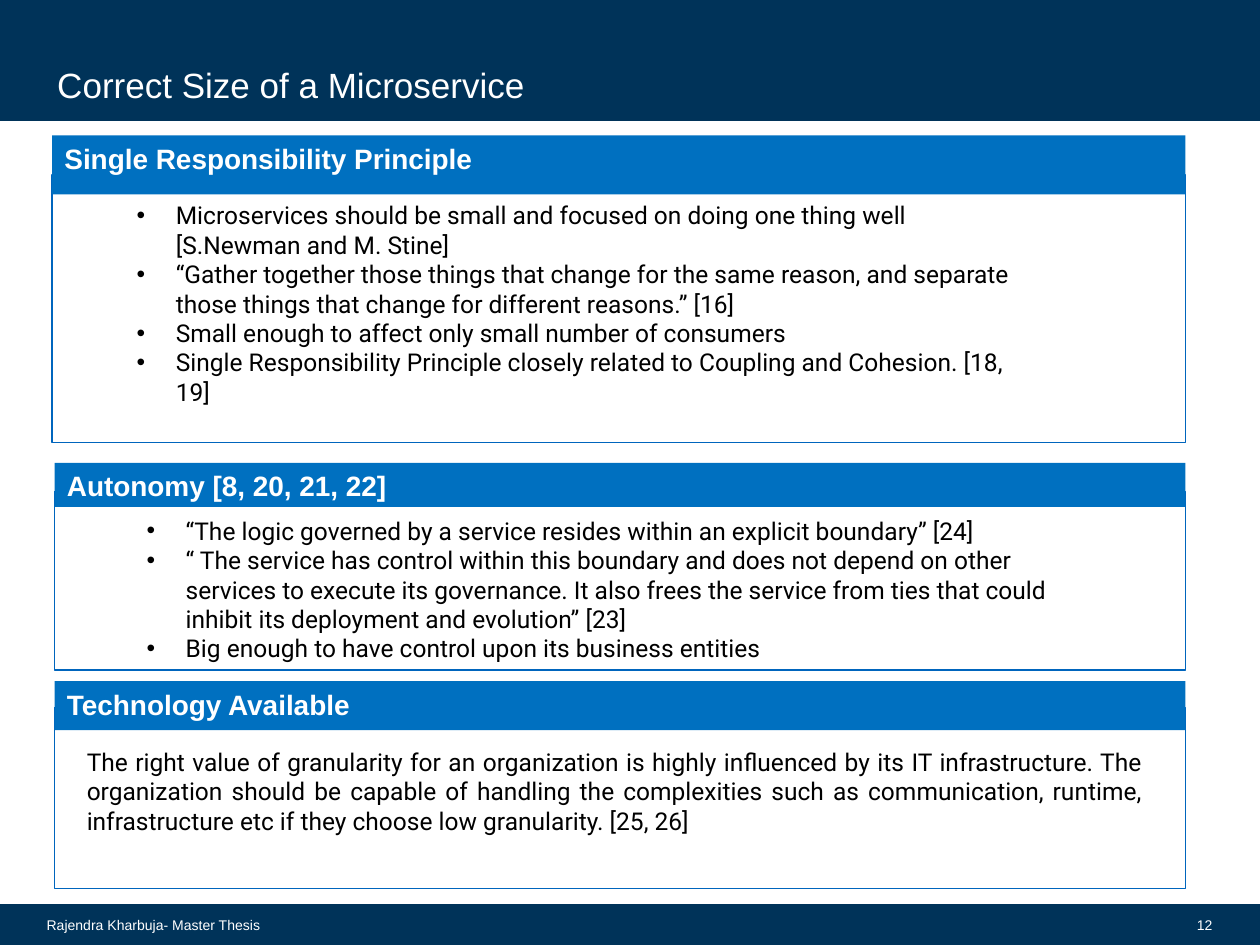
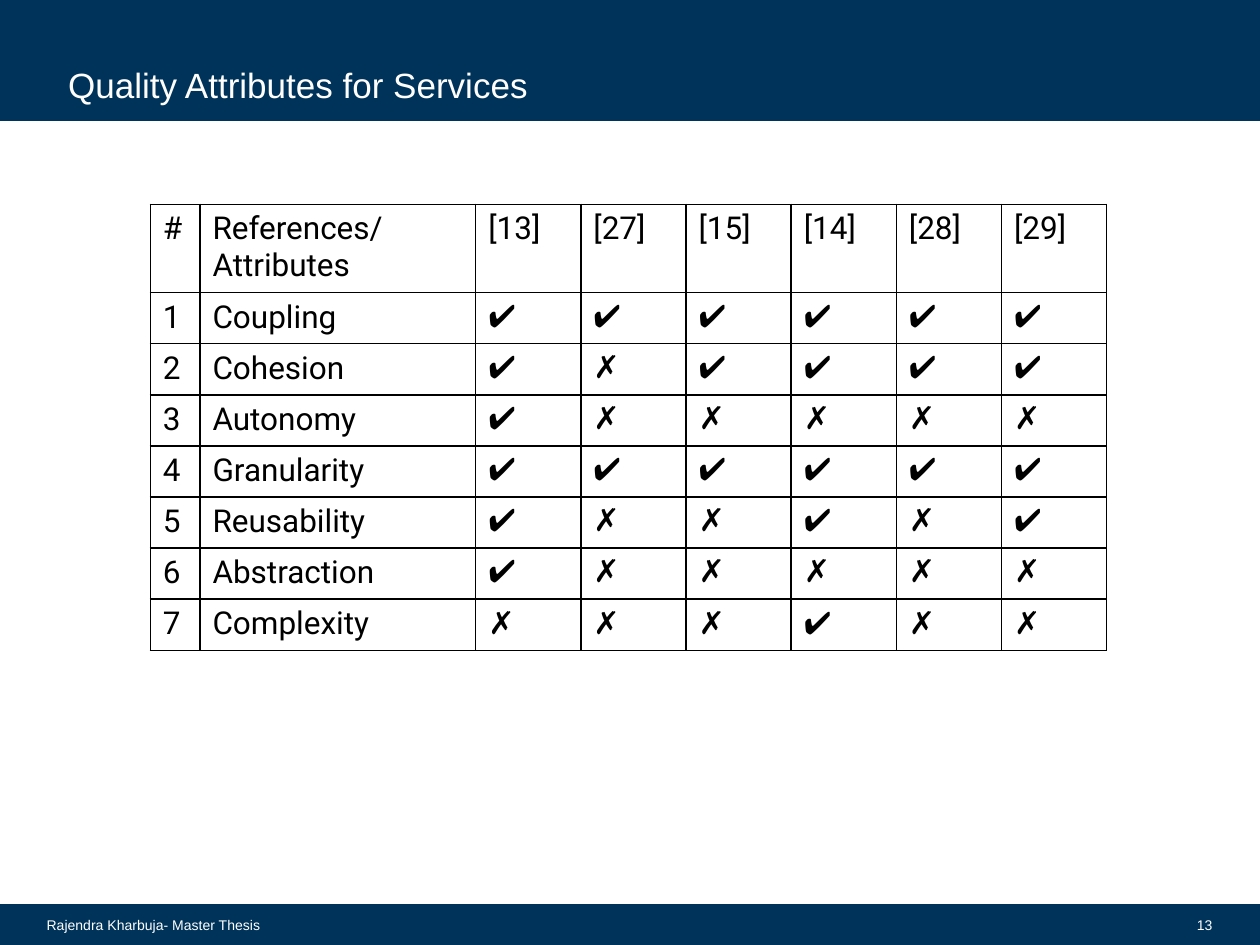
import pptx
import pptx.util
import pptx.dml.color
import pptx.enum.shapes
import pptx.enum.text
import pptx.oxml
import pptx.oxml.ns

Cm, Pt = pptx.util.Cm, pptx.util.Pt
RGBColor = pptx.dml.color.RGBColor
ALIGN = pptx.enum.text.PP_ALIGN
ANCHOR = pptx.enum.text.MSO_ANCHOR
RECT = pptx.enum.shapes.MSO_SHAPE.RECTANGLE

NAVY = RGBColor(0x00, 0x33, 0x59)
BLUE = RGBColor(0x00, 0x70, 0xC0)
OUTLINE = RGBColor(0x00, 0x65, 0xBD)
WHITE = RGBColor(0xFF, 0xFF, 0xFF)
BLACK = RGBColor(0x00, 0x00, 0x00)
SANS, BODY = "Arial", "Roboto"

WIDTH, HEIGHT = 25.4, 19.05
BANDS = [(0, 2.42), (18.24, 0.81)]  # top, height
FOOTER = "Rajendra Kharbuja- Master Thesis"

# Panels: heading, left, bar top, bar height, frame top, frame bottom
PANEL_RIGHT = 23.9
PANELS = [
    ("Single Responsibility Principle", 1.05, 2.73, 1.19, 3.53, 8.92),
    ("Autonomy [8, 20, 21, 22]", 1.1, 9.33, 0.89, 9.91, 13.51),
    ("Technology Available", 1.1, 13.73, 0.99, 14.27, 17.92),
]
# Lists: (left, top, width, height), items
LISTS = [
    ((2.5, 3.91, 18.21, 5.23), [
        "Microservices should be small and focused on doing one thing well "
        "[S.Newman and M. Stine]",
        "“Gather together those things that change for the same reason, and "
        "separate those things that change for different reasons.” [16]",
        "Small enough to affect only small number of consumers",
        "Single Responsibility Principle closely related to Coupling and "
        "Cohesion. [18, 19]",
    ]),
    ((2.7, 10.27, 19, 3.25), [
        "“The logic governed by a service resides within an explicit boundary” [24]",
        "“ The service has control within this boundary and does not depend on "
        "other services to execute its governance. It also frees the service from "
        "ties that could inhibit its deployment and evolution” [23]",
        "Big enough to have control upon its business entities",
    ]),
]
TECHNOLOGY = (
    "The right value of granularity for an organization is highly influenced by "
    "its IT infrastructure. The organization should be capable of handling the "
    "complexities such as communication, runtime, infrastructure etc if they "
    "choose low granularity. [25, 26]"
)

REFERENCES = ["[13]", "[27]", "[15]", "[14]", "[28]", "[29]"]
ATTRIBUTES = [
    ("Coupling", "✔✔✔✔✔✔"),
    ("Cohesion", "✔✗✔✔✔✔"),
    ("Autonomy", "✔✗✗✗✗✗"),
    ("Granularity", "✔✔✔✔✔✔"),
    ("Reusability", "✔✗✗✔✗✔"),
    ("Abstraction", "✔✗✗✗✗✗"),
    ("Complexity", "✗✗✗✔✗✗"),
]
TABLE_LEFT, TABLE_TOP = 3.03, 4.12
COL_WIDTHS = [1, 5.56] + [2.12] * len(REFERENCES)
ROW_HEIGHTS = [1.72] + [1.03] * len(ATTRIBUTES)


def add_run(p, text, size, font=SANS, color=WHITE, bold=False):
    r = p.add_run()
    r.text = text
    r.font.size, r.font.name, r.font.bold = Pt(size), font, bold
    r.font.color.rgb = color


def place(sp, left, top, width, height):
    sp.left, sp.top, sp.width, sp.height = map(Cm, (left, top, width, height))


def add_rect(shapes, left, top, width, height, fill=None, line=None, weight=0.75):
    sp = shapes.add_shape(RECT, *map(Cm, (left, top, width, height)))
    sp.shadow.inherit = False
    if fill is None:
        sp.fill.background()
    else:
        sp.fill.solid()
        sp.fill.fore_color.rgb = fill
    if line is None:
        sp.line.fill.background()
    else:
        sp.line.color.rgb = line
        sp.line.width = Pt(weight)
    return sp


def add_text(slide, box, text, size, font=SANS, color=WHITE,
             align=ALIGN.LEFT, anchor=ANCHOR.TOP):
    tf = slide.shapes.add_textbox(*map(Cm, box)).text_frame
    tf.word_wrap, tf.vertical_anchor = True, anchor
    p = tf.paragraphs[0]
    p.alignment = align
    add_run(p, text, size, font, color)
    return tf


def add_slide(prs, layout, title, title_left, number):
    """Add a slide with the bands behind its title, and the footer."""
    slide = prs.slides.add_slide(prs.slide_layouts[layout])
    for top, height in BANDS:
        band = add_rect(slide.shapes, 0, top, WIDTH, height, NAVY, NAVY, 1.35)
        slide.shapes.element.insert(2, band.element)
    sp = slide.shapes.title
    place(sp, title_left, 1.14, 20.93, 0.99)
    tf = sp.text_frame
    tf.auto_size = pptx.enum.text.MSO_AUTO_SIZE.NONE
    tf.vertical_anchor = ANCHOR.BOTTOM
    tf.margin_top = tf.margin_bottom = 0
    tf.paragraphs[0].alignment = ALIGN.LEFT
    add_run(tf.paragraphs[0], title, 20)
    add_text(slide, (0.69, 18.24, 5.41, 0.81), FOOTER, 8, anchor=ANCHOR.MIDDLE)
    tf = add_text(slide, (24, 18.24, 0.69, 0.81), str(number), 8,
                  align=ALIGN.RIGHT, anchor=ANCHOR.MIDDLE)
    tf.margin_left = 0  # leaves room for both digits on one line
    return slide


def add_panel(slide, heading, left, bar_top, bar_height, frame_top, frame_bottom):
    shapes = slide.shapes.add_group_shape().shapes
    width = PANEL_RIGHT - left
    add_rect(shapes, left, frame_top, width, frame_bottom - frame_top, line=OUTLINE)
    bar = add_rect(shapes, left, bar_top, width, bar_height, BLUE)
    tf = bar.text_frame
    tf.vertical_anchor = ANCHOR.TOP
    p = tf.paragraphs[0]
    p.alignment, p.space_before = ALIGN.LEFT, Pt(2)
    add_run(p, heading, 16, bold=True)


def fill_list(sp, box, items):
    place(sp, *box)
    tf = sp.text_frame
    tf.auto_size = pptx.enum.text.MSO_AUTO_SIZE.NONE
    for i, item in enumerate(items):
        p = tf.add_paragraph() if i else tf.paragraphs[0]
        p.space_before = Pt(0)
        pPr = p._p.get_or_add_pPr()
        pPr.set("marL", str(Cm(0.79)))
        pPr.set("indent", str(-Cm(0.79)))
        add_run(p, item, 14, BODY, BLACK)


def set_borders(cell):
    tcPr = cell._tc.get_or_add_tcPr()
    for side in "LRTB":
        tcPr.append(pptx.oxml.parse_xml(
            f'<a:ln{side} {pptx.oxml.ns.nsdecls("a")} w="{Pt(1)}"><a:solidFill>'
            f'<a:srgbClr val="{BLACK}"/></a:solidFill></a:ln{side}>'))


def add_attribute_table(slide):
    rows = [["#", "References/Attributes", *REFERENCES]]
    rows += [[str(n), name, *marks] for n, (name, marks) in enumerate(ATTRIBUTES, 1)]
    box = TABLE_LEFT, TABLE_TOP, sum(COL_WIDTHS), sum(ROW_HEIGHTS)
    table = slide.shapes.add_table(len(rows), len(rows[0]), *map(Cm, box)).table
    table.first_row = table.horz_banding = False
    for column, width in zip(table.columns, COL_WIDTHS):
        column.width = Cm(width)
    for row, height, texts in zip(table.rows, ROW_HEIGHTS, rows):
        row.height = Cm(height)
        for cell, text in zip(row.cells, texts):
            set_borders(cell)
            cell.fill.background()
            font = SANS if text in "✔✗" else BODY
            add_run(cell.text_frame.paragraphs[0], text, 18, font, BLACK)


def main():
    prs = pptx.Presentation()
    prs.slide_width, prs.slide_height = Cm(WIDTH), Cm(HEIGHT)

    slide = add_slide(prs, 3, "Correct Size of a Microservice", 0.9, 12)
    for panel in PANELS:
        add_panel(slide, *panel)
    for idx, (box, items) in enumerate(LISTS, 1):
        fill_list(slide.placeholders[idx], box, items)
    add_text(slide, (1.5, 14.93, 21.79, 2.06), TECHNOLOGY, 14, BODY, BLACK,
             align=ALIGN.JUSTIFY)

    slide = add_slide(prs, 5, "Quality Attributes for Services", 1.12, 13)
    add_attribute_table(slide)
    prs.save("out.pptx")


if __name__ == "__main__":
    main()
